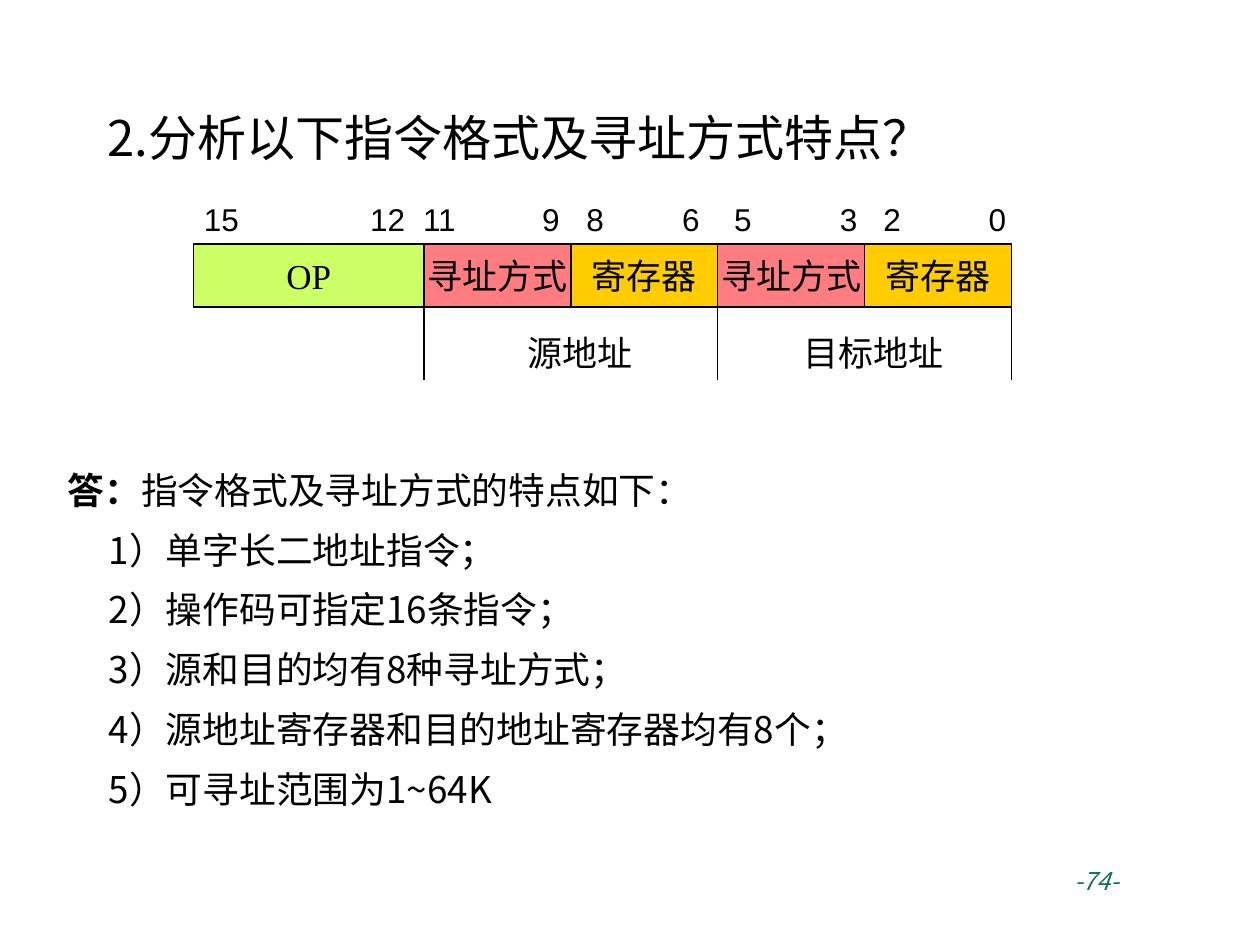
import dataclasses

import pptx
import pptx.dml.color
import pptx.enum.shapes
import pptx.enum.text
import pptx.oxml.ns
import pptx.util

Cm = pptx.util.Cm
ALIGN = pptx.enum.text.PP_ALIGN
ANCHOR = pptx.enum.text.MSO_ANCHOR
qualified = pptx.oxml.ns.qn


@dataclasses.dataclass(frozen=True)
class Theme:
    ink: str = "000000"
    page_number: str = "0D7157"
    opcode: str = "CCFF66"
    mode: str = "FF7C80"
    register: str = "FFCC00"
    title_font: str = "Noto Sans CJK JP"
    body_font: str = "Noto Sans CJK SC"
    field_font: str = "Times New Roman"
    label_font: str = "Arial"
    title_size: float = 28
    body_size: float = 21
    field_size: float = 20
    bit_size: float = 18
    number_size: float = 14
    line_width: float = 0.75


THEME = Theme()

# Name, width in cm, fill
FIELDS = [
    ("OP", 4.65, THEME.opcode),
    ("寻址方式", 2.96, THEME.mode),
    ("寄存器", 2.96, THEME.register),
    ("寻址方式", 2.96, THEME.mode),
    ("寄存器", 2.96, THEME.register),
]
# Bit number, distance in cm from the left edge of the diagram
BITS = [(15, 0.21), (12, 3.56), (11, 4.63), (9, 7.03), (8, 7.92),
        (6, 9.85), (5, 10.9), (3, 13.03), (2, 13.91), (0, 16.03)]
ADDRESSES = ["源地址", "目标地址"]
ANSWERS = [
    "1）单字长二地址指令；",
    "2）操作码可指定16条指令；",
    "3）源和目的均有8种寻址方式；",
    "4）源地址寄存器和目的地址寄存器均有8个；",
    "5）可寻址范围为1~64K",
]


def rgb(value):
    return pptx.dml.color.RGBColor.from_string(value)


def place(shape, left, top, width, height):
    shape.left, shape.top = Cm(left), Cm(top)
    shape.width, shape.height = Cm(width), Cm(height)


def write_text(shape, text, *, size, font, color=THEME.ink, lead="", italic=False,
               align=ALIGN.LEFT, anchor=ANCHOR.TOP, indent=0, spacing=1.0, before=0):
    """Add one paragraph to the shape; lead is a bold opening."""
    frame = shape.text_frame
    frame.word_wrap = True
    frame.auto_size = pptx.enum.text.MSO_AUTO_SIZE.NONE
    frame.vertical_anchor = anchor
    para = frame.paragraphs[0]
    if para.runs:
        para = frame.add_paragraph()
    para.alignment = align
    para.line_spacing = spacing
    para.space_before = pptx.util.Pt(before)

    properties = para._p.get_or_add_pPr()
    properties.set("marL", str(Cm(indent)))
    properties.set("indent", "0")
    properties.append(properties.makeelement(qualified("a:buNone"), {}))

    east_asian_font = font if font == THEME.title_font else THEME.body_font
    for words, bold in ((lead, True), (text, False)):
        if not words:
            continue
        span = para.add_run()
        span.text = words
        span.font.size = pptx.util.Pt(size)
        span.font.name = font
        span.font.bold = bold
        span.font.italic = italic
        span.font.color.rgb = rgb(color)
        latin = span.font._element.find(qualified("a:latin"))
        latin.addnext(latin.makeelement(qualified("a:ea"), {"typeface": east_asian_font}))


def add_label(page, left, top, width, height, text, **text_format):
    box = page.shapes.add_textbox(Cm(left), Cm(top), Cm(width), Cm(height))
    write_text(box, text, **text_format)
    return box


def add_field(page, left, top, width, height, name, fill):
    field = page.shapes.add_shape(pptx.enum.shapes.MSO_SHAPE.RECTANGLE,
                                  Cm(left), Cm(top), Cm(width), Cm(height))
    field.shadow.inherit = False
    field.fill.solid()
    field.fill.fore_color.rgb = rgb(fill)
    field.line.color.rgb = rgb(THEME.ink)
    field.line.width = pptx.util.Pt(THEME.line_width)
    field.text_frame.margin_left = field.text_frame.margin_right = 0
    write_text(field, name, size=THEME.field_size, font=THEME.field_font,
               align=ALIGN.CENTER, anchor=ANCHOR.MIDDLE)


def add_divider(page, x, top, length):
    line = page.shapes.add_connector(pptx.enum.shapes.MSO_CONNECTOR.STRAIGHT,
                                     Cm(x), Cm(top), Cm(x), Cm(top + length))
    line.line.color.rgb = rgb(THEME.ink)
    line.line.width = pptx.util.Pt(THEME.line_width)
    properties = line._element.spPr
    properties.append(properties.makeelement(qualified("a:effectLst"), {}))


def add_bit_row(page, left, top, height):
    for bit, offset in BITS:
        label = add_label(page, left + offset, top, 0.85, height, str(bit),
                          size=THEME.bit_size, font=THEME.label_font,
                          anchor=ANCHOR.MIDDLE)
        label.text_frame.margin_left = label.text_frame.margin_right = 0


def add_instruction_format(page, left, top, height):
    bit_height, field_height = 1.0, 1.27
    field_top = top + bit_height
    address_top = field_top + field_height
    address_height = height - bit_height - field_height

    edges = [left]
    for name, field_width, fill in FIELDS:
        add_field(page, edges[-1], field_top, field_width, field_height, name, fill)
        edges.append(edges[-1] + field_width)

    borders = edges[1::2]
    for x in borders:
        add_divider(page, x, address_top, address_height)
    label_shift = 0.18
    for name, start, end in zip(ADDRESSES, borders, borders[1:]):
        add_label(page, start + label_shift, address_top + label_shift,
                  end - start, address_height, name,
                  size=THEME.field_size, font=THEME.label_font,
                  align=ALIGN.CENTER, anchor=ANCHOR.MIDDLE)

    add_bit_row(page, left, top, bit_height)


def fill_title(page, left, top, width, height):
    title = page.shapes.title
    place(title, left, top, width, height)
    write_text(title, "2.分析以下指令格式及寻址方式特点？", size=THEME.title_size,
               font=THEME.title_font, indent=0.22, spacing=1.1)


def fill_answer(page, left, top, width, height):
    body = page.placeholders[1]
    place(body, left, top, width, height)
    text_format = dict(size=THEME.body_size, font=THEME.body_font, spacing=1.2, before=4)
    write_text(body, "指令格式及寻址方式的特点如下：", lead="答：", indent=0.17, **text_format)
    for answer in ANSWERS:
        write_text(body, answer, indent=1, **text_format)


def main():
    deck = pptx.Presentation()
    deck.slide_width, deck.slide_height = Cm(25.4), Cm(19.05)
    page = deck.slides.add_slide(deck.slide_layouts[1])
    fill_title(page, 1.7, 1.93, 20.8, 1.55)
    fill_answer(page, 0.94, 9.12, 22.83, 8.2)
    add_instruction_format(page, 3.9, 3.92, 3.75)
    add_label(page, 21.31, 17.34, 2.82, 1.32, "-74-", size=THEME.number_size,
              font=THEME.body_font, color=THEME.page_number, italic=True, indent=0.1)
    deck.save("out.pptx")


if __name__ == "__main__":
    main()
